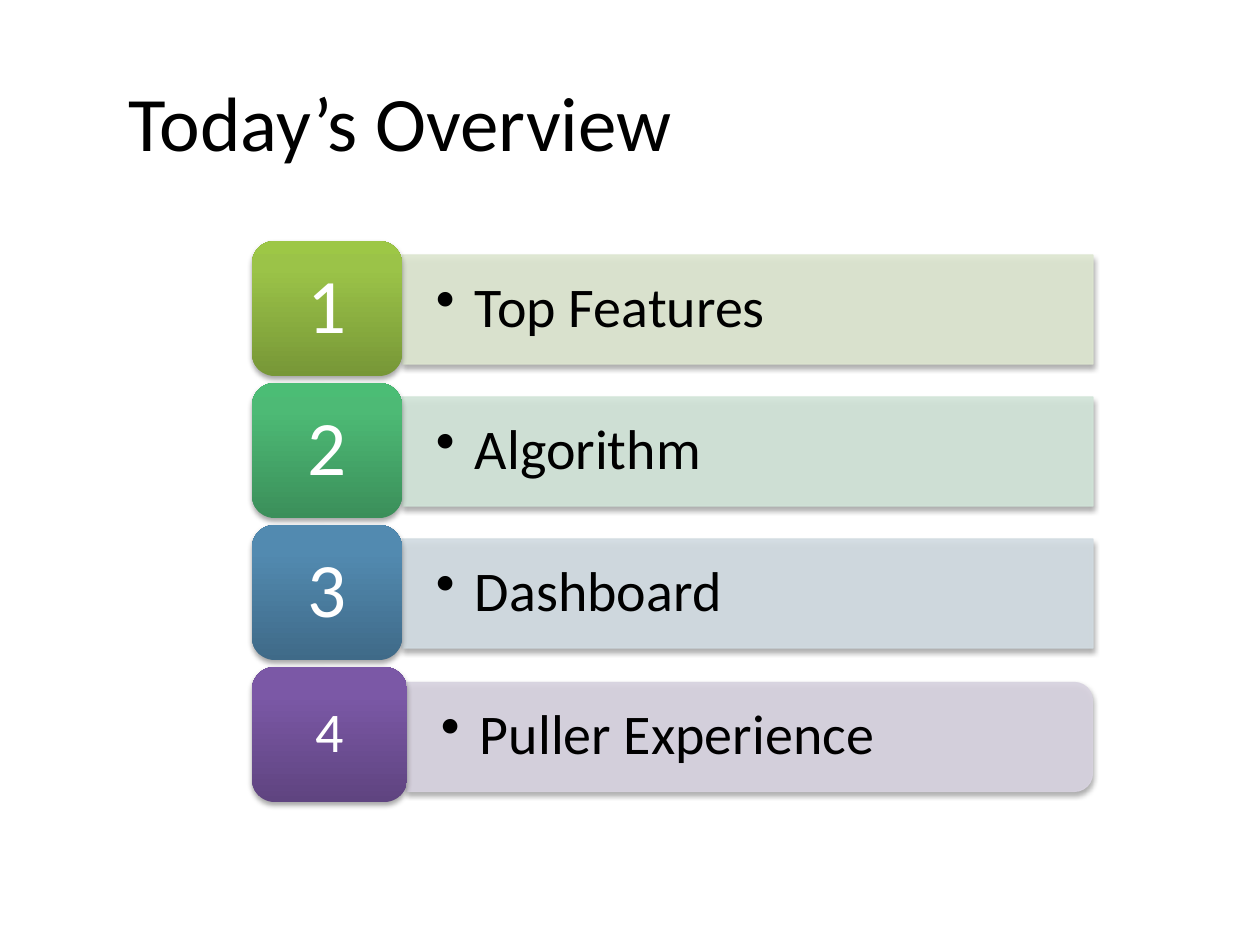
from dataclasses import dataclass

from lxml.etree import SubElement
from pptx import Presentation
from pptx.dml.color import RGBColor
from pptx.enum.shapes import MSO_SHAPE
from pptx.enum.text import MSO_ANCHOR, PP_ALIGN
from pptx.oxml import parse_xml
from pptx.oxml.ns import nsdecls, qn
from pptx.util import Emu, Pt

PX = 914400 // 126


@dataclass(frozen=True)
class Theme:
    font: str = "Calibri"
    ink: str = "000000"
    white: str = "FFFFFF"
    big: int = 44
    mid: int = 32
    edge: float = 0.75


class Deck:
    def __init__(self, theme):
        self.theme = theme
        self.file = Presentation()
        self.file.slide_width, self.file.slide_height = Emu(1260 * PX), Emu(945 * PX)
        self.slide = self.file.slides.add_slide(self.file.slide_layouts[6])
        self.slide.background.fill.solid()
        self.slide.background.fill.fore_color.rgb = RGBColor.from_string(theme.white)

    def shape(self, kind, *box):
        item = self.slide.shapes.add_shape(kind, *(Emu(n * PX) for n in box))
        item.shadow.inherit = False
        # Soft shadow straight down
        glow = item._element.spPr.find(qn("a:effectLst"))
        drop = SubElement(glow, qn("a:outerShdw"), blurRad=str(Pt(3.1)),
                          dist=str(Pt(1.8)), dir="5400000", rotWithShape="0")
        tint = SubElement(drop, qn("a:srgbClr"), val="000000")
        SubElement(tint, qn("a:alpha"), val="35000")
        return item

    def words(self, item, text, size, color, inset, align=PP_ALIGN.LEFT):
        frame = item.text_frame
        frame.word_wrap = True
        frame.vertical_anchor = MSO_ANCHOR.MIDDLE
        side, top = (Emu(n * PX) for n in inset)
        frame.margin_left = frame.margin_right = side
        frame.margin_top = frame.margin_bottom = top
        para = frame.paragraphs[0]
        para.alignment = align
        run = para.add_run()
        run.text = text
        run.font.size = Pt(size)
        run.font.name = self.theme.font
        run.font.color.rgb = RGBColor.from_string(color)
        return para

    def text(self, text, size, box, inset):
        item = self.slide.shapes.add_textbox(*(Emu(n * PX) for n in box))
        return self.words(item, text, size, self.theme.ink, inset)

    def bar(self, kind, color, left, top, wide, high):
        # An upright shape turned on its side, so its top end faces right
        shift = (wide - high) // 2
        item = self.shape(kind, left + shift, top - shift, high, wide)
        item.rotation = 90
        item.fill.solid()
        item.fill.fore_color.rgb = RGBColor.from_string(color)
        item.line.color.rgb = RGBColor.from_string(color)
        item.line.width = Pt(self.theme.edge)
        for tint in item._element.spPr.iterfind(".//" + qn("a:solidFill") + "/" + qn("a:srgbClr")):
            SubElement(tint, qn("a:alpha"), val="90000")

    def label(self, text, *box):
        para = self.text(text, self.theme.mid, box, (34, 18))
        para.line_spacing = 0.9
        props = para._p.get_or_add_pPr()
        props.set("marL", str(39 * PX))
        props.set("indent", str(-39 * PX))
        SubElement(props, qn("a:buChar"), char="•")

    def badge(self, text, size, stops, *box):
        item = self.shape(MSO_SHAPE.ROUNDED_RECTANGLE, *box)
        item.line.fill.background()
        marks = "".join(f'<a:gs pos="{at}000"><a:srgbClr val="{color}"/></a:gs>'
                        for at, color in zip((0, 80, 100), stops))
        fade = parse_xml(f'<a:gradFill {nsdecls("a")} rotWithShape="1"><a:gsLst>{marks}'
                         '</a:gsLst><a:lin ang="16200000" scaled="0"/></a:gradFill>')
        item._element.spPr.find(qn("a:prstGeom")).addnext(fade)
        para = self.words(item, text, size, self.theme.white, (23, 11), PP_ALIGN.CENTER)
        para.line_spacing = 0.9


def main():
    theme = Theme()
    deck = Deck(theme)

    # Agenda rows: name, bar colour, badge fade from bottom to top
    rows = [
        ("Top Features", "DEE7D1", ("779737", "9BC348", "9DC746")),
        ("Algorithm", "D2E5D9", ("3B8F5A", "4DBA75", "4BBD75")),
        ("Dashboard", "D2DCE2", ("3F6A88", "528AB0", "518BB3")),
        ("Puller Experience", "D8D3E0", ("5F4480", "7B58A6", "7C57A8")),
    ]
    left, right, first, step = 252, 1093, 241, 142
    tall, high = 135, 109
    for i, (name, color, stops) in enumerate(rows):
        last = i == len(rows) - 1
        top = first + i * step
        wide = 155 if last else 150
        start = left + wide
        size = theme.mid if last else theme.big
        kind = MSO_SHAPE.ROUND_2_SAME_RECTANGLE if last else MSO_SHAPE.RECTANGLE
        place = (start, top + (15 if last else 14), right - start, high)
        deck.bar(kind, color, *place)
        deck.label(name, *place)
        deck.badge(str(i + 1), size, stops, left, top, wide, tall)

    # Title
    deck.text("Today’s Overview", theme.big, (116, 42, 1113, 158), (13, 6))

    deck.file.save("out.pptx")


if __name__ == "__main__":
    main()
